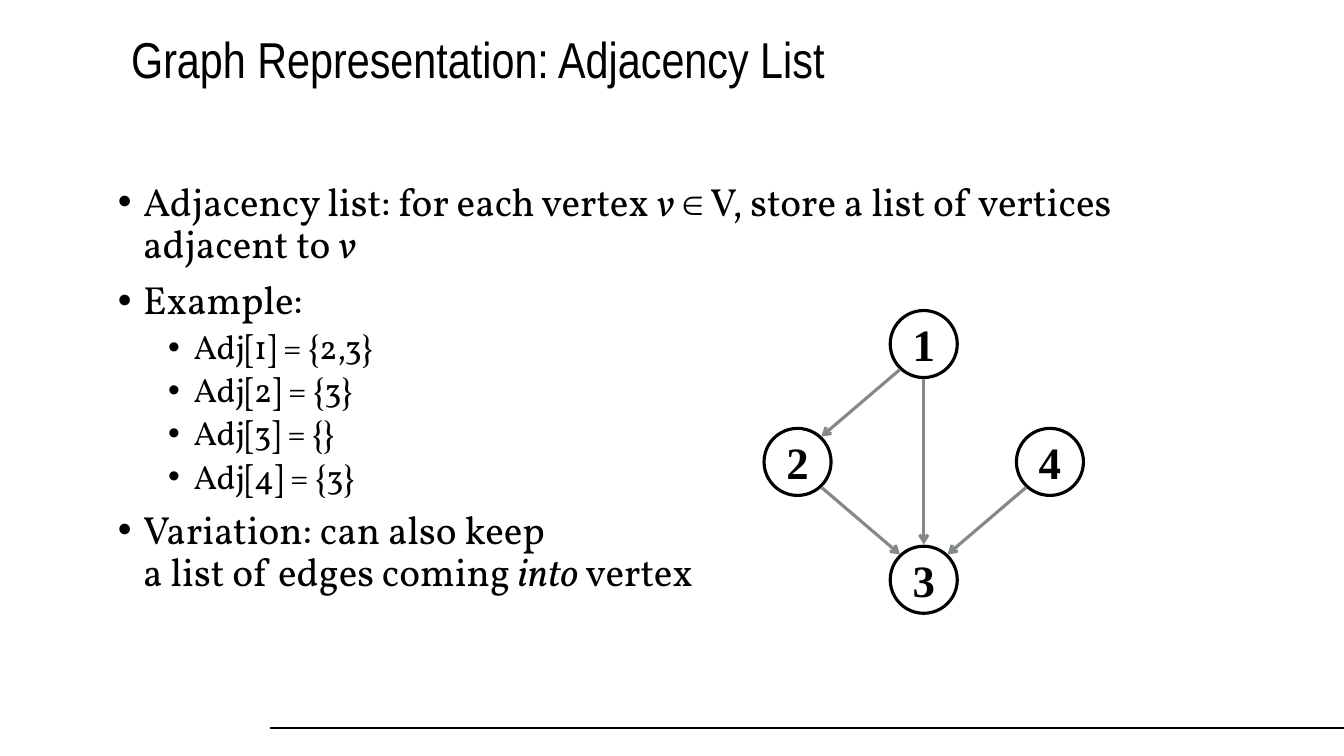
from lxml.etree import SubElement as Sub
from pptx import Presentation
from pptx.dml.color import RGBColor
from pptx.enum.shapes import MSO_CONNECTOR as Link, MSO_SHAPE as Shape
from pptx.enum.text import MSO_ANCHOR as Anchor, MSO_AUTO_SIZE as Fit, PP_ALIGN as Align
from pptx.oxml.ns import qn
from pptx.util import Cm, Pt

BLACK = RGBColor(0x00, 0x00, 0x00)
GREY = RGBColor(0x83, 0x88, 0x8B)

HEAD = {"name": "Arial Narrow", "size": Pt(36)}
LABEL = {"name": "Times New Roman", "size": Pt(32), "bold": True}
LEVELS = [
    {"size": 28, "left": 0.64, "space": 10},
    {"size": 24, "left": 1.91, "space": 5},
]
HANG = 0.64

ITEMS = [
    (0, ["Adjacency list: for each vertex ", "v ",
         "∈ V, store a list of vertices adjacent to ", "v"]),
    (0, ["Example:"]),
    (1, ["Adj[1] = {2,3}"]),
    (1, ["Adj[2] = {3}"]),
    (1, ["Adj[3] = {}"]),
    (1, ["Adj[4] = {3}"]),
    (0, ["Variation: can also keep \va list of edges coming ", "into ", "vertex"]),
]

NODES = {"1": (1, 0), "2": (0, 1), "4": (2, 1), "3": (1, 2)}
EDGES = [("1", "2"), ("2", "3"), ("4", "3"), ("1", "3")]
LEFT, TOP = 20.1, 8.67
STEP_X, STEP_Y = 3.18, 2.97
SIZE = 1.69
SLANT_X, SLANT_Y = 0.6, 0.64
DROP = 0.89


def style(obj, form):
    for key, val in form.items():
        setattr(obj, key, val)


def write(para, text, form):
    para.text = text
    for run in para.runs:
        style(run.font, form)
        run.font.color.rgb = BLACK


def title(slide):
    box = slide.shapes.title
    style(box, {"left": Cm(3.05), "top": Cm(-0.03),
                "width": Cm(29.21), "height": Cm(3.18)})
    frame = box.text_frame
    style(frame, {"vertical_anchor": Anchor.MIDDLE, "auto_size": Fit.NONE})
    para = frame.paragraphs[0]
    style(para, {"alignment": Align.LEFT, "line_spacing": 0.9})
    write(para, "Graph Representation: Adjacency List", HEAD)


def bullet(para, left):
    props = para._p.get_or_add_pPr()
    props.set("marL", str(Cm(left)))
    props.set("indent", str(-Cm(HANG)))
    Sub(props, qn("a:buFont")).set("typeface", "Arial")
    Sub(props, qn("a:buChar")).set("char", "•")


def body(slide):
    box = slide.shapes.add_textbox(Cm(2.72), Cm(4.47), Cm(29.21), Cm(12.09))
    frame = box.text_frame
    frame.word_wrap = True
    for num, (level, parts) in enumerate(ITEMS):
        para = frame.add_paragraph() if num else frame.paragraphs[0]
        rule = LEVELS[level]
        bullet(para, rule["left"])
        style(para, {"level": level, "line_spacing": 0.9,
                     "space_before": Pt(rule["space"] if num else 0)})
        for pos, part in enumerate(parts):
            form = {"name": "Vollkorn", "size": Pt(rule["size"]),
                    "italic": pos % 2 == 1}
            for row, text in enumerate(part.split("\v")):
                if row:
                    para.add_line_break()
                run = para.add_run()
                run.text = text
                style(run.font, form)
                run.font.color.rgb = BLACK


def line(slide, start, end, color, width, arrow=False):
    link = slide.shapes.add_connector(
        Link.STRAIGHT, *[Cm(val) for val in (*start, *end)])
    link.line.color.rgb = color
    link.line.width = Pt(width)
    if arrow:
        Sub(link.line._get_or_add_ln(), qn("a:tailEnd")).set("type", "arrow")
    Sub(link._element.spPr, qn("a:effectLst"))


def center(name):
    col, row = NODES[name]
    return LEFT + col * STEP_X, TOP + row * STEP_Y


def node(slide, name):
    x, y = center(name)
    oval = slide.shapes.add_shape(Shape.OVAL, Cm(x - SIZE / 2),
                                  Cm(y - SIZE / 2), Cm(SIZE), Cm(SIZE))
    oval.shadow.inherit = False
    oval.fill.background()
    oval.line.color.rgb = BLACK
    oval.line.width = Pt(2.25)
    frame = oval.text_frame
    style(frame, {"word_wrap": False, "vertical_anchor": Anchor.MIDDLE})
    para = frame.paragraphs[0]
    para.alignment = Align.CENTER
    write(para, name, LABEL)


def edge(slide, tail, head):
    (x1, y1), (x2, y2) = center(tail), center(head)
    side = (x2 > x1) - (x2 < x1)
    dx, dy = (side * SLANT_X, SLANT_Y) if side else (0, DROP)
    line(slide, (x1 + dx, y1 + dy), (x2 - dx, y2 - dy), GREY, 2.25, True)


def main():
    deck = Presentation()
    style(deck, {"slide_width": Cm(33.87), "slide_height": Cm(19.05)})
    slide = deck.slides.add_slide(deck.slide_layouts[5])
    line(slide, (6.81, 18.34), (33.87, 18.34), BLACK, 1)
    title(slide)
    body(slide)
    for name in NODES:
        node(slide, name)
    for pair in EDGES:
        edge(slide, *pair)
    deck.save("out.pptx")


if __name__ == "__main__":
    main()
